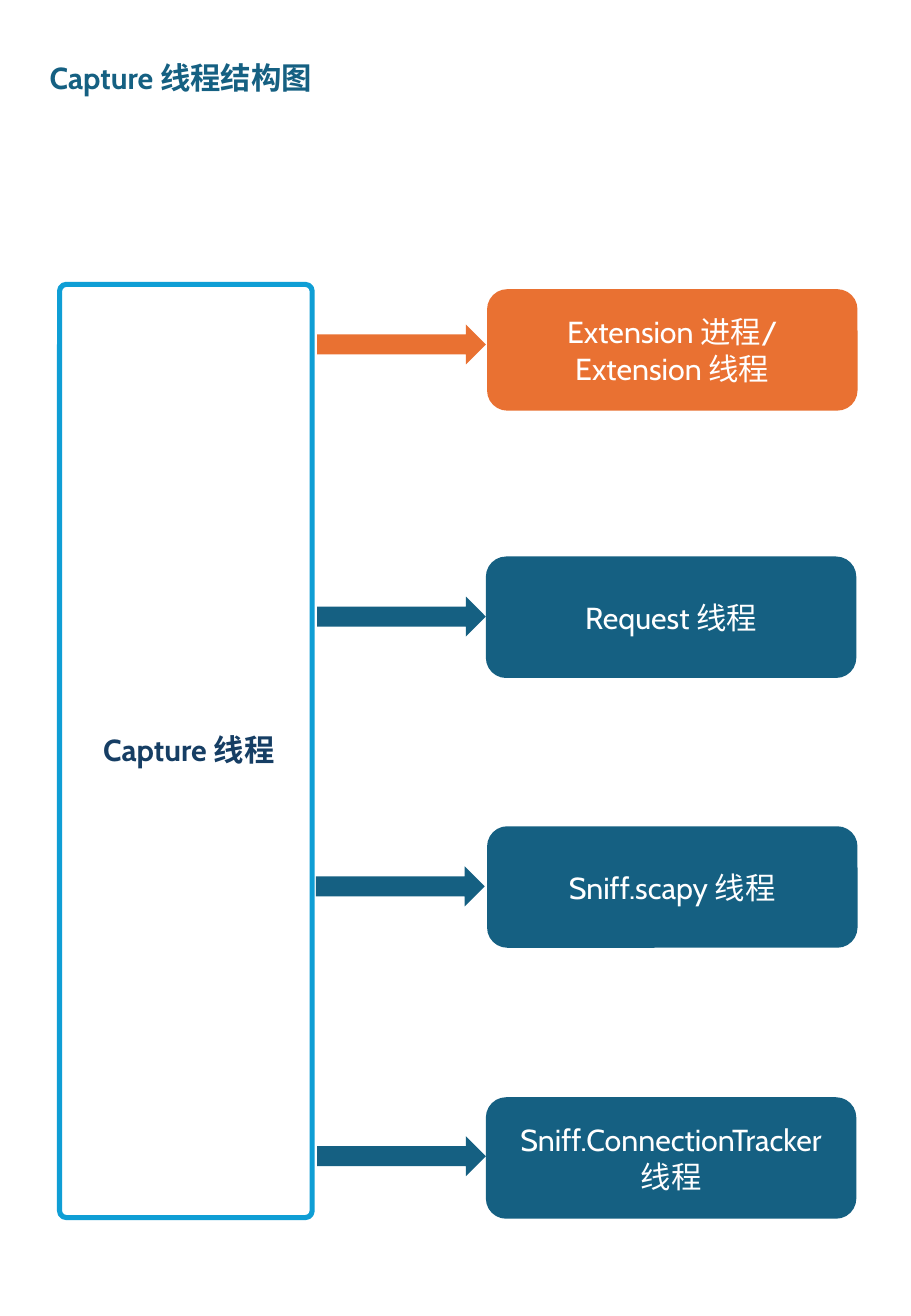
from dataclasses import dataclass

from pptx import Presentation
from pptx.dml.color import RGBColor
from pptx.enum.shapes import MSO_SHAPE as Shape
from pptx.enum.text import MSO_ANCHOR as Anchor, MSO_AUTO_SIZE as AutoSize, PP_ALIGN as Align
from pptx.util import Inches, Pt


@dataclass(frozen=True)
class Theme:
    """Colours, font and type size of the slide."""
    font: str = "Cabin"
    size: int = 18
    teal: str = "156082"
    navy: str = "163E64"
    orange: str = "E97132"
    sky: str = "0F9ED5"
    white: str = "FFFFFF"


THEME = Theme()
THREADS = [
    (4.01, 2.38, 2.61, 2.67, THEME.orange, ["Extension 进程/", "Extension 线程"]),
    (4.0, 4.58, 2.61, 4.91, THEME.teal, ["Request 线程"]),
    (4.01, 6.8, 2.6, 7.13, THEME.teal, ["Sniff.scapy 线程"]),
    (4.0, 9.03, 2.61, 9.35, THEME.teal, ["Sniff.ConnectionTracker 线程"]),
]


def write(frame, lines, color, bold=False, align=Align.LEFT):
    """Write one paragraph per line in the given format."""
    for index, line in enumerate(lines):
        para = frame.paragraphs[0] if index == 0 else frame.add_paragraph()
        para.alignment = align
        span = para.add_run()
        span.text = line
        span.font.name = THEME.font
        span.font.size = Pt(THEME.size)
        span.font.bold = bold
        span.font.color.rgb = RGBColor.from_string(color)


def add_label(page, box, text, color):
    """Add a bold one-line label."""
    frame = page.shapes.add_textbox(*map(Inches, box)).text_frame
    frame.word_wrap = False
    frame.auto_size = AutoSize.SHAPE_TO_FIT_TEXT
    write(frame, [text], color, bold=True)


def add_block(page, kind, box, fill=None):
    """Add a flat shape without an outline, filled if a colour is given."""
    block = page.shapes.add_shape(kind, *map(Inches, box))
    block.shadow.inherit = False
    block.line.fill.background()
    if fill:
        block.fill.solid()
        block.fill.fore_color.rgb = RGBColor.from_string(fill)
    else:
        block.fill.background()
    return block


def add_capture(page, box):
    """Add the outlined column of the capture thread and its label."""
    left, top, _, _ = box
    column = add_block(page, Shape.ROUNDED_RECTANGLE, box)
    column.adjustments[0] = 0.027
    column.line.color.rgb = RGBColor.from_string(THEME.sky)
    column.line.width = Pt(3)
    add_label(page, (left + 0.26, top + 3.63, 1.69, 0.4), "Capture 线程", THEME.navy)


def add_thread(page, box, arrow_box, color, lines):
    """Add a child thread and the block arrow that leads to it."""
    block = add_block(page, Shape.ROUNDED_RECTANGLE, box, color)
    block.text_frame.word_wrap = True
    block.text_frame.vertical_anchor = Anchor.MIDDLE
    write(block.text_frame, lines, THEME.white, align=Align.CENTER)
    add_block(page, Shape.RIGHT_ARROW, arrow_box, color)


def main():
    """Build and save the thread diagram."""
    deck = Presentation()
    deck.slide_width, deck.slide_height = Inches(7.5), Inches(10.83)
    page = deck.slides.add_slide(deck.slide_layouts[6])
    add_label(page, (0.31, 0.44, 2.45, 0.4), "Capture 线程结构图", THEME.teal)
    add_capture(page, (0.49, 2.34, 2.08, 7.68))
    for left, top, arrow_left, arrow_top, color, lines in THREADS:
        add_thread(page, (left, top, 3.05, 1), (arrow_left, arrow_top, 1.39, 0.33), color, lines)
    deck.save("out.pptx")


if __name__ == "__main__":
    main()
